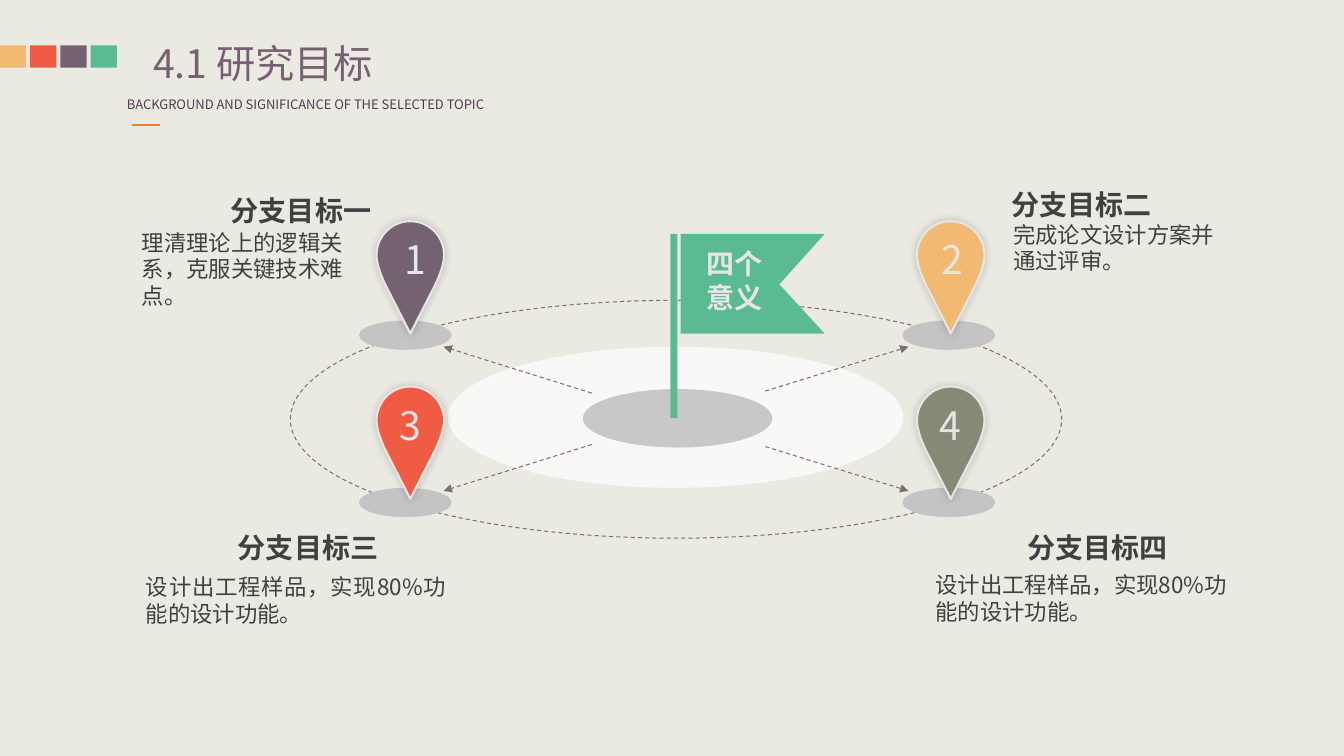
"""Build the research goals slide: four numbered pins around a flag."""
from math import cos, pi, sin

from lxml.etree import SubElement
from pptx import Presentation
from pptx.dml.color import RGBColor as RGB
from pptx.enum.dml import MSO_LINE
from pptx.enum.shapes import MSO_CONNECTOR, MSO_SHAPE
from pptx.enum.text import MSO_ANCHOR, PP_ALIGN as AL
from pptx.oxml.ns import qn
from pptx.util import Inches, Pt

FONT = "Noto Sans CJK SC"
C = {"bg": "EBEAE2", "yellow": "F2B973", "red": "EF5B43", "purple": "756271",
     "green": "5ABB93", "olive": "858976", "plum": "543C4F", "orange": "ED7D31",
     "text": "404040", "line": "767171", "pad": "C5C3C3", "pale": "E7E6E6",
     "white": "FFFFFF", "gray": "999999", "black": "000000"}


def write(s, text, size, color, bold=False, align=AL.LEFT, wrap=True):
    tf = s.text_frame
    tf.word_wrap = wrap
    p = tf.paragraphs[0]
    p.alignment = align
    r = p.add_run()
    r.text = text
    r.font.size, r.font.bold, r.font.name = Pt(size), bold, FONT
    r.font.color.rgb = RGB.from_string(C[color])
    SubElement(r._r.rPr, qn("a:ea"), typeface=FONT)
    return tf


def paint(s, color, alpha=None):
    s.shadow.inherit = False
    s.fill.solid()
    s.fill.fore_color.rgb = RGB.from_string(C[color])
    s.line.fill.background()
    if alpha:
        clr = s._element.spPr.find(qn("a:solidFill"))[0]
        SubElement(clr, qn("a:alpha"), val=str(alpha * 1000))


prs = Presentation()
prs.slide_width, prs.slide_height = Inches(13.33), Inches(7.5)
slide = prs.slides.add_slide(prs.slide_layouts[5])
slide.background.fill.solid()
slide.background.fill.fore_color.rgb = RGB.from_string(C["bg"])
sh = slide.shapes

for i, color in enumerate(["yellow", "red", "purple", "green"]):
    paint(sh.add_shape(MSO_SHAPE.RECTANGLE, Inches(0.3 * i), Inches(0.45),
                       Inches(0.26), Inches(0.22)), color)

title = sh.title
title.left, title.top, title.width, title.height = map(Inches, (1.52, 0.39, 3.99, 0.47))
tf = write(title, "4.1 研究目标", 28, "purple")
tf.margin_left = tf.margin_right = tf.margin_top = tf.margin_bottom = 0
tf.vertical_anchor = MSO_ANCHOR.TOP

subtitle = sh.add_textbox(*map(Inches, (1.16, 0.91, 4.07, 0.26)))
write(subtitle, "BACKGROUND AND SIGNIFICANCE OF THE SELECTED TOPIC", 9.3, "plum", wrap=False)

goals = [
    ("分支目标一", (2.1, 1.87, 1.68, 0.44), "理清理论上的逻辑关系，克服关键技术难点。",
     (1.31, 2.22, 2.39, 0.91), AL.LEFT),
    ("分支目标二", (9.91, 1.81, 1.61, 0.44), "完成论文设计方案并通过评审。",
     (9.95, 2.14, 2.36, 0.64), AL.LEFT),
    ("分支目标三", (2.1, 5.21, 1.75, 0.44), "设计出工程样品，实现80%功能的设计功能。",
     (1.35, 5.64, 3.17, 0.64), AL.JUSTIFY),
    ("分支目标四", (10.08, 5.21, 1.6, 0.44), "设计出工程样品，实现80%功能的设计功能。",
     (9.18, 5.62, 3.13, 0.64), AL.LEFT),
]
for head, head_box, body, body_box, align in goals:
    write(sh.add_textbox(*map(Inches, head_box)), head, 20, "text", True, AL.RIGHT)
    write(sh.add_textbox(*map(Inches, body_box)), body, 16, "text", align=align)

orbit = sh.add_shape(MSO_SHAPE.OVAL, *map(Inches, (2.88, 2.98, 7.65, 2.36)))
orbit.shadow.inherit = False
orbit.fill.background()
orbit.line.color.rgb = RGB.from_string(C["line"])
orbit.line.width, orbit.line.dash_style = Pt(0.75), MSO_LINE.DASH

discs = [((4.44, 3.44, 4.52, 1.4), "white", 70), ((5.78, 3.86, 1.88, 0.58), "gray", 50)]
discs += [((x, y, 0.92, 0.29), "pad", None) for x in (3.56, 8.95) for y in (3.18, 4.84)]
for box, color, alpha in discs:
    paint(sh.add_shape(MSO_SHAPE.OVAL, *map(Inches, box)), color, alpha)

lines = [
    (1.31, 1.24, 1.59, 1.24, "orange", 1.5, False),
    (5.87, 4.41, 4.4, 4.87, "line", 0.75, True),
    (7.59, 3.88, 9.01, 3.44, "line", 0.75, True),
    (5.87, 3.9, 4.4, 3.44, "line", 0.75, True),
    (7.59, 4.43, 9.01, 4.87, "line", 0.75, True),
]
for *ends, color, width, arrow in lines:
    s = sh.add_connector(MSO_CONNECTOR.STRAIGHT, *map(Inches, ends))
    s.line.color.rgb = RGB.from_string(C[color])
    s.line.width = Pt(width)
    if arrow:
        s.line.dash_style = MSO_LINE.DASH
        SubElement(s.line._get_or_add_ln(), qn("a:tailEnd"), type="triangle")
    SubElement(s._element.spPr, qn("a:effectLst"))

dome = [(0.335 * cos(a), -0.335 * sin(a)) for a in (pi * i / 36 for i in range(37))]
side = []
for t in (i / 10 for i in range(1, 11)):
    u = 1 - t
    side.append((0.335 * u**3 + 1.005 * u * u * t + 0.87 * u * t * t + 0.24 * t**3,
                 0.27 * u * u * t + 0.63 * u * t * t + 0.31 * t**3))
outline = dome + [(-x, y) for x, y in side] + [(0, 0.78)] + side[::-1]

pins = [("1", 4.07, 2.53, 3.91, "purple"), ("2", 9.43, 2.53, 9.24, "yellow"),
        ("3", 4.07, 4.17, 3.86, "red"), ("4", 9.43, 4.17, 9.22, "olive")]
for number, cx, cy, text_x, color in pins:
    points = [(Inches(cx + x), Inches(cy + y)) for x, y in outline]
    fb = sh.build_freeform(*points[0])
    fb.add_line_segments(points[1:])
    s = fb.convert_to_shape()
    paint(s, color)
    s.line.color.rgb = RGB.from_string(C["pale"])
    s.line.width = Pt(1.5)
    shadow = SubElement(s._element.spPr.find(qn("a:effectLst")), qn("a:outerShdw"),
                        blurRad=str(Pt(6)), dist="0", dir=str(225 * 60000))
    clr = SubElement(shadow, qn("a:srgbClr"), val=C["black"])
    SubElement(clr, qn("a:alpha"), val="20000")
    label = sh.add_textbox(Inches(text_x), Inches(cy - 0.24), Inches(0.43), Inches(0.57))
    write(label, number, 28, "pale", wrap=False)

fb = sh.build_freeform(Inches(8.18), Inches(2.32))
fb.add_line_segments([(Inches(x), Inches(y)) for x, y in
                      [(6.75, 2.32), (6.75, 3.31), (8.18, 3.31), (7.73, 2.82)]])
paint(fb.convert_to_shape(), "green")
paint(sh.add_shape(MSO_SHAPE.RECTANGLE, *map(Inches, (6.65, 2.32, 0.07, 1.83))), "green")
flag_text = sh.add_textbox(*map(Inches, (6.86, 2.4, 0.85, 0.77)))
write(flag_text, "四个意义", 20, "pale", True, AL.CENTER)

prs.save("out.pptx")
